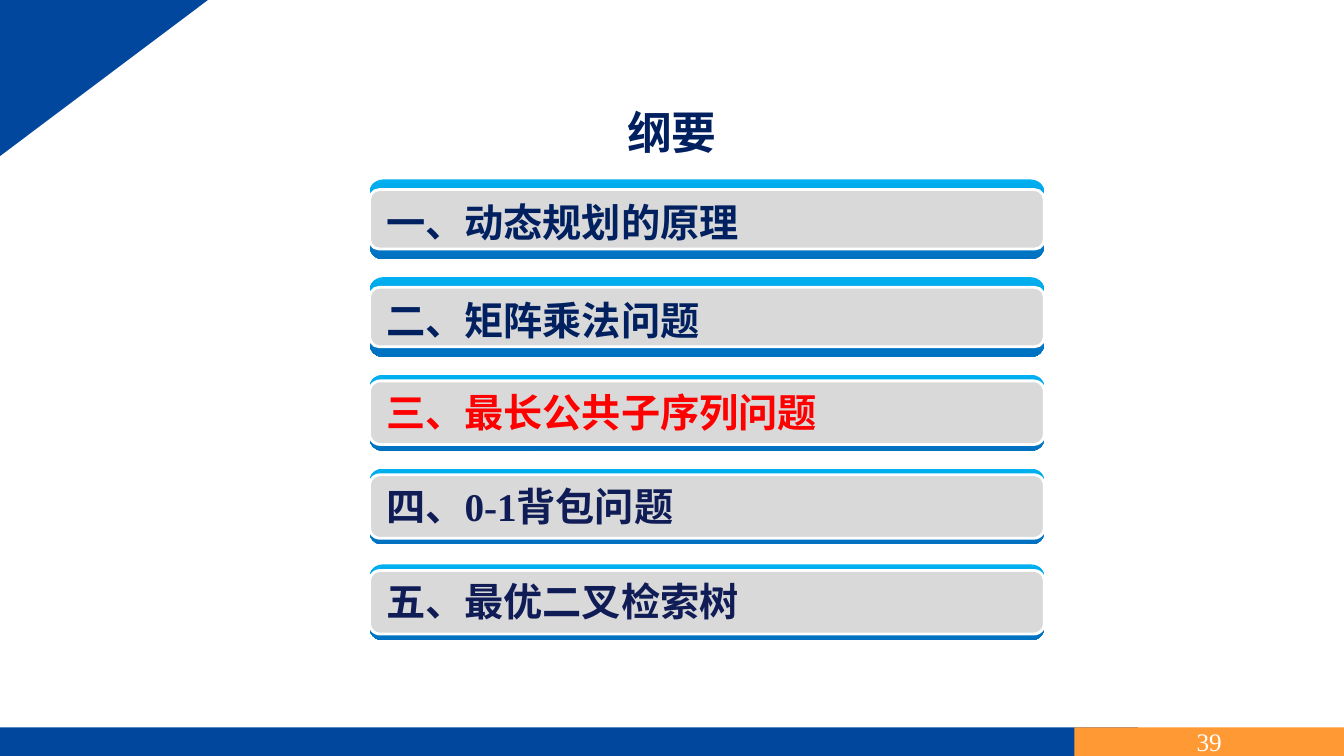
from pptx import Presentation
from pptx.dml.color import RGBColor
from pptx.enum.shapes import MSO_SHAPE
from pptx.enum.text import MSO_ANCHOR, MSO_AUTO_SIZE, PP_ALIGN
from pptx.util import Pt

RECTANGLE = MSO_SHAPE.RECTANGLE
ROUNDED = MSO_SHAPE.ROUNDED_RECTANGLE
TRIANGLE = MSO_SHAPE.RIGHT_TRIANGLE
MIDDLE = MSO_ANCHOR.MIDDLE
GROW = MSO_AUTO_SIZE.SHAPE_TO_FIT_TEXT
CENTER, LEFT = PP_ALIGN.CENTER, PP_ALIGN.LEFT

FONT = "Times New Roman"
BLUE, ORANGE, WHITE = "00479D", "FF9933", "FFFFFF"
NAVY, DARK_NAVY, RED = "002060", "101C56", "FF0000"
SKY, OCEAN, GRAY = "00B0F0", "0070C0", "D9D9D9"

# Top, height, panel inset, label offset, text, text colour
TOPICS = [
    (128.2, 56.9, 7.2, 10.1, "一、动态规划的原理", NAVY),
    (198, 56.9, 7.2, 10.1, "二、矩阵乘法问题", NAVY),
    (267.8, 54, 4.3, 5.8, "三、最长公共子序列问题", RED),
    (334.8, 54, 4.3, 5.8, "四、0-1背包问题", DARK_NAVY),
    (403.2, 54, 4.3, 5.8, "五、最优二叉检索树", DARK_NAVY),
]


def color(hex_code):
    return RGBColor.from_string(hex_code)


def add_block(shapes, kind, left, top, width, height, fill):
    shape = shapes.add_shape(kind, Pt(left), Pt(top), Pt(width), Pt(height))
    shape.shadow.inherit = False
    shape.fill.solid()
    shape.fill.fore_color.rgb = color(fill)
    shape.line.fill.background()
    return shape


def write(text_frame, text, size, hex_code, align, bold=False):
    paragraph = text_frame.paragraphs[0]
    paragraph.alignment = align
    run = paragraph.add_run()
    run.text = text
    run.font.name = FONT
    run.font.size = Pt(size)
    run.font.bold = bold
    run.font.color.rgb = color(hex_code)


def add_label(shapes, left, top, width, height, text, size, hex_code, align):
    box = shapes.add_textbox(Pt(left), Pt(top), Pt(width), Pt(height))
    box.text_frame.word_wrap = True
    box.text_frame.auto_size = GROW
    write(box.text_frame, text, size, hex_code, align, bold=True)


def add_corner(slide, left, top, width, height):
    # A quarter turn swaps the sides around the same centre
    shift = (width - height) / 2
    corner = add_block(slide.shapes, TRIANGLE, left + shift, top - shift, height, width, BLUE)
    corner.rotation = 90


def add_footer(slide, left, top, width, height, number):
    number_width = 192.6
    add_block(slide.shapes, RECTANGLE, left, top, 812.9, height, BLUE)
    number_box = add_block(slide.shapes, RECTANGLE, left + width - number_width, top,
                           number_width, height, ORANGE)
    number_box.text_frame.vertical_anchor = MIDDLE
    write(number_box.text_frame, number, 18, WHITE, CENTER)


def add_topic(slide, left, top, width, height, inset, label_offset, text, hex_code):
    group = slide.shapes.add_group_shape()
    # Gradient bar showing above and below the panel
    bar = add_block(group.shapes, ROUNDED, left, top, width, height, SKY)
    bar.fill.gradient()
    bar.fill.gradient_angle = 270
    for stop, stop_color in zip(bar.fill.gradient_stops, (SKY, OCEAN)):
        stop.color.rgb = color(stop_color)
    # Gray panel with white outline
    panel = add_block(group.shapes, ROUNDED, left, top + inset, width, height - 2 * inset, GRAY)
    panel.line.color.rgb = color(WHITE)
    panel.line.width = Pt(2)
    # Topic text
    add_label(group.shapes, left + 4.8, top + label_offset, width - 10, 41.2,
              text, 28, hex_code, LEFT)


def main():
    presentation = Presentation()
    presentation.slide_width, presentation.slide_height = Pt(960), Pt(540)
    slide = presentation.slides.add_slide(presentation.slide_layouts[6])
    add_footer(slide, 0, 519.6, 960, 20.4, "39")
    add_corner(slide, 0, 0, 148.5, 111.5)
    add_label(slide.shapes, 322.4, 71.2, 315.2, 46, "纲要", 32, NAVY, CENTER)
    for top, height, inset, label_offset, text, hex_code in TOPICS:
        add_topic(slide, 264, top, 482, height, inset, label_offset, text, hex_code)
    presentation.save("out.pptx")


if __name__ == "__main__":
    main()
